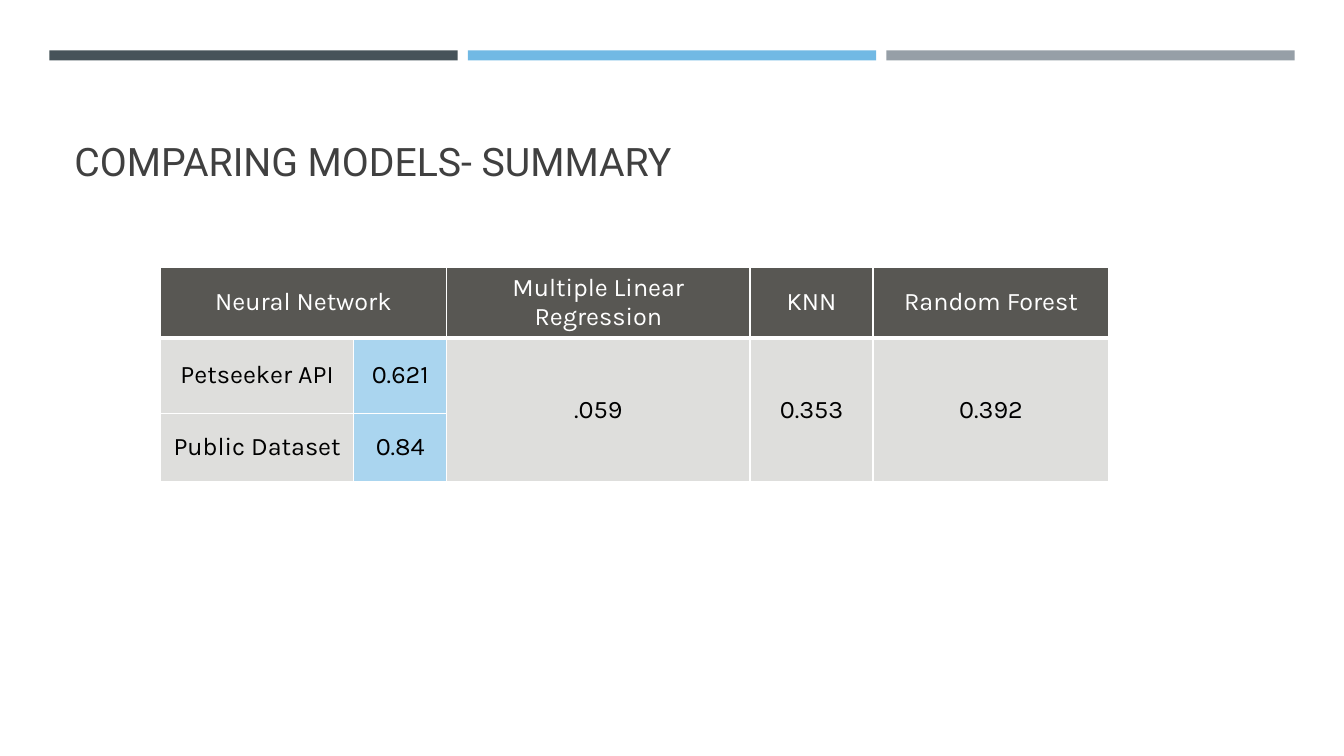
import pptx
import pptx.util
import pptx.dml.color
import pptx.enum.shapes
import pptx.enum.text
import pptx.oxml
import pptx.oxml.ns

Inches, Pt = pptx.util.Inches, pptx.util.Pt
RGBColor = pptx.dml.color.RGBColor

SLATE = RGBColor(0x46, 0x53, 0x59)
BLUE = RGBColor(0x71, 0xB9, 0xE4)
GREY = RGBColor(0x96, 0x9F, 0xA7)
TITLE_GREY = RGBColor(0x40, 0x40, 0x40)
HEADER = RGBColor(0x58, 0x57, 0x53)
BODY = RGBColor(0xDE, 0xDE, 0xDC)
SCORE = RGBColor(0xAA, 0xD5, 0xEF)
WHITE = RGBColor(0xFF, 0xFF, 0xFF)
BLACK = RGBColor(0, 0, 0)

# Content: None marks a cell covered by a merged neighbour
TITLE = "COMPARING MODELS- SUMMARY"
SCORES = [
    ["Neural Network", None, "Multiple Linear Regression", "KNN", "Random Forest"],
    ["Petseeker API", "0.621", ".059", "0.353", "0.392"],
    ["Public Dataset", "0.84", None, None, None],
]
MERGES = [((0, 0), (0, 1))] + [((1, col), (2, col)) for col in (2, 3, 4)]
COLUMN_WIDTHS = [1.92, 0.92, 3.01, 1.22, 2.34]
ROW_HEIGHTS = [0.68, 0.75, 0.68]
SCORE_COLUMN = 1

BAND_COLOURS = [SLATE, BLUE, GREY]
BAND_LEFT, BAND_WIDTH, BAND_PITCH = 0.49, 4.05, 4.15


def add_border(cell, side, points):
    line = pptx.oxml.parse_xml(
        f'<a:{side} {pptx.oxml.ns.nsdecls("a")} w="{Pt(points)}">'
        f'<a:solidFill><a:srgbClr val="{WHITE}"/></a:solidFill></a:{side}>')
    cell._tc.get_or_add_tcPr().append(line)


deck = pptx.Presentation()
deck.slide_width, deck.slide_height = Inches(13.33), Inches(7.5)
slide = deck.slides.add_slide(deck.slide_layouts[6])

# Colour bands along the top
for index, colour in enumerate(BAND_COLOURS):
    band = slide.shapes.add_shape(
        pptx.enum.shapes.MSO_SHAPE.RECTANGLE,
        Inches(BAND_LEFT + index * BAND_PITCH), Inches(0.5),
        Inches(BAND_WIDTH), Inches(0.1))
    band.shadow.inherit = False
    band.fill.solid()
    band.fill.fore_color.rgb = colour
    band.line.fill.background()

# Title
heading = slide.shapes.add_textbox(
    Inches(0.64), Inches(0.8), Inches(12.06), Inches(1.08)).text_frame
heading.word_wrap = True
heading.vertical_anchor = pptx.enum.text.MSO_ANCHOR.BOTTOM
heading.text = TITLE
title_line = heading.paragraphs[0]
title_line.line_spacing = 0.9
title_line.font.name, title_line.font.size = "Roboto", Pt(28)
title_line.font.color.rgb = TITLE_GREY

# Score table
comparison = slide.shapes.add_table(
    len(ROW_HEIGHTS), len(COLUMN_WIDTHS), Inches(1.59), Inches(2.65),
    Inches(sum(COLUMN_WIDTHS)), Inches(sum(ROW_HEIGHTS))).table
for column, width in zip(comparison.columns, COLUMN_WIDTHS):
    column.width = Inches(width)
for row, height in zip(comparison.rows, ROW_HEIGHTS):
    row.height = Inches(height)
for first, last in MERGES:
    comparison.cell(*first).merge(comparison.cell(*last))

for r, values in enumerate(SCORES):
    for c, value in enumerate(values):
        cell = comparison.cell(r, c)
        is_header = r == 0
        for side in ("lnL", "lnR", "lnT", "lnB"):
            add_border(cell, side, 3 if is_header and side == "lnB" else 1)
        cell.fill.solid()
        cell.fill.fore_color.rgb = (
            HEADER if is_header else SCORE if c == SCORE_COLUMN else BODY)
        if value is None:
            continue
        cell.vertical_anchor = pptx.enum.text.MSO_ANCHOR.MIDDLE
        cell.text = value
        label = cell.text_frame.paragraphs[0]
        label.alignment = pptx.enum.text.PP_ALIGN.CENTER
        label.font.name, label.font.size = "Karla", Pt(18)
        label.font.bold = False
        label.font.color.rgb = WHITE if is_header else BLACK

deck.save("out.pptx")
